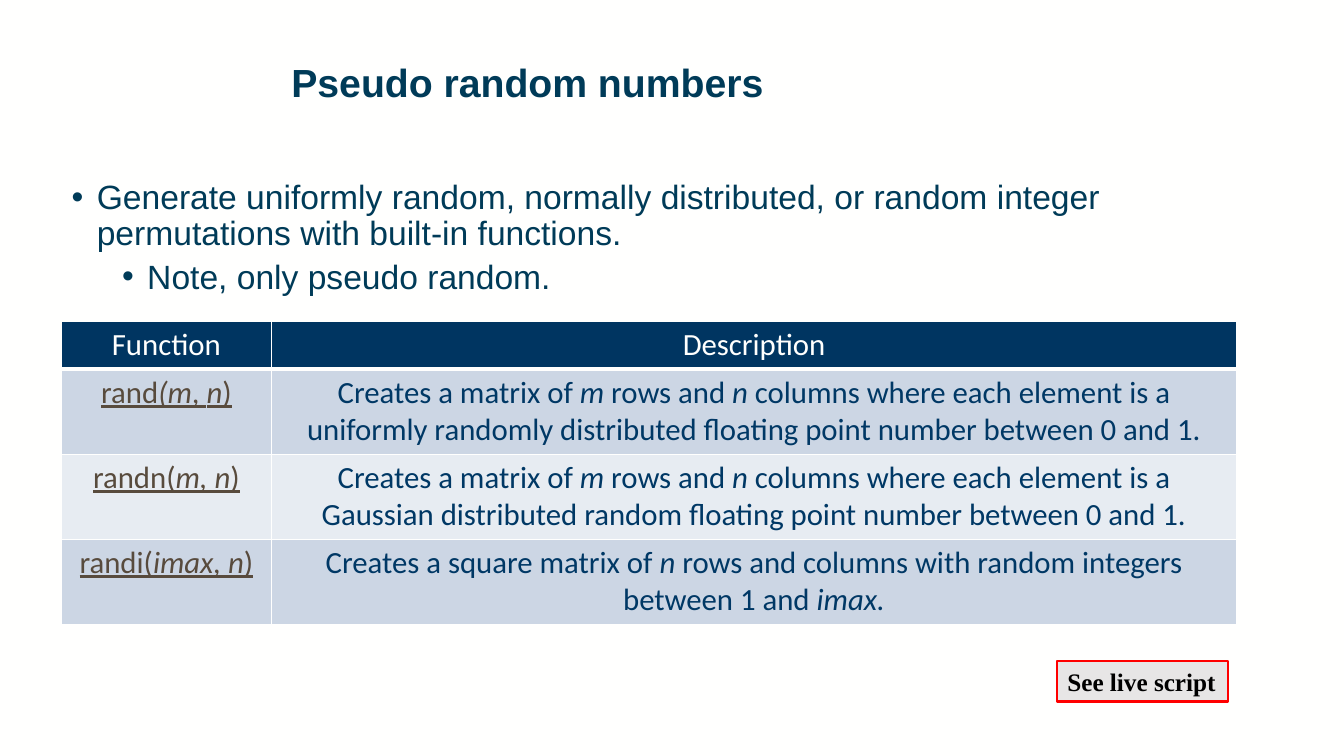
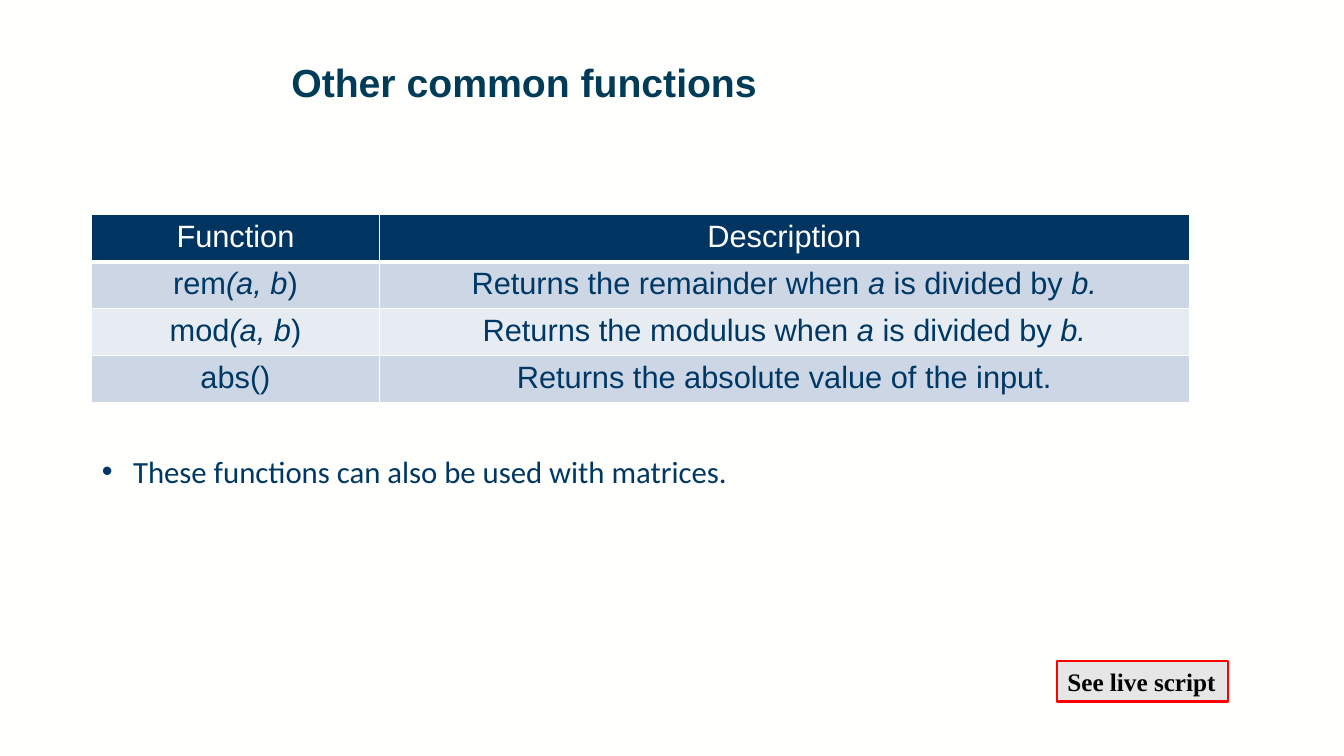
from dataclasses import dataclass

from lxml.etree import SubElement
from pptx import Presentation
from pptx.dml.color import RGBColor
from pptx.enum.shapes import MSO_SHAPE
from pptx.enum.text import MSO_ANCHOR, MSO_AUTO_SIZE, PP_ALIGN
from pptx.oxml import parse_xml
from pptx.oxml.ns import nsdecls, qn
from pptx.util import Inches, Pt


@dataclass(frozen=True)
class Theme:
    paper: str = "FFFFFE"
    title: str = "003B58"
    text: str = "003865"
    link: str = "584B3D"
    header: str = "003561"
    bands: tuple = ("CCD6E4", "E7ECF2")
    button: str = "E7E6E6"
    button_line: str = "FF0000"
    button_text: str = "000000"
    sans: str = "Arial"
    table_font: str = "Calibri"
    serif: str = "Times New Roman"
    title_size: int = 28
    list_size: int = 24
    table_size: int = 22
    button_size: int = 18


T = Theme()

prs = Presentation()
prs.slide_width, prs.slide_height = Inches(13.333), Inches(7.5)
COL, ROW = prs.slide_width / 100, prs.slide_height / 100


def place(shape, left, top, width, height):
    """Put a shape on the grid of 100 columns by 100 rows."""
    shape.left, shape.top = round(left * COL), round(top * ROW)
    shape.width, shape.height = round(width * COL), round(height * ROW)


def write(p, text, font, size, color, bold=False, underline=False):
    """Add text run by run; the parts between asterisks are italic."""
    for i, part in enumerate(text.split("*")):
        if part:
            r = p.add_run()
            r.text = part
            r.font.name, r.font.size = font, Pt(size)
            r.font.color.rgb = RGBColor.from_string(color)
            r.font.bold, r.font.italic = bold, i % 2 == 1
            r.font.underline = underline


matrix = "Creates a matrix of *m* rows and *n* columns where each element is a "
between = " floating point number between 0 and 1."
slides = [
    dict(
        title="Pseudo random numbers",
        list_at=(4.58, 23.2, 79.88, 18.67),
        # text, level, left indent, hanging indent, space before
        items=[
            ("Generate uniformly random, normally distributed, or random integer "
             "permutations with built-in functions.", 0, 0.25, 0.25, 0),
            ("Note, only pseudo random.", 1, 0.75, 0.25, 5),
        ],
        list_style=(T.sans, T.list_size, T.title),
        line_spacing=0.9,
        table_at=(4.58, 42.53),
        cols=(15.6, 71.85),
        row_height=11.07,
        table_font=T.table_font,
        links=True,
        rows=[
            ("rand*(m*, *n*)", matrix + "uniformly randomly distributed" + between),
            ("randn(*m, n*)", matrix + "Gaussian distributed random" + between),
            ("randi(*imax, n*)", "Creates a square matrix of *n* rows and columns "
             "with random integers between 1 and *imax.*"),
        ],
    ),
    dict(
        title="Other common functions",
        list_at=(6.83, 59.2, 64.65, 6.27),
        items=[("These functions can also be used with matrices.", 0, 0.31, 0.31, 0)],
        list_style=(T.table_font, T.table_size, T.text),
        line_spacing=1.0,
        table_at=(6.83, 28.4),
        cols=(21.38, 60.3),
        row_height=6.22,
        table_font=T.sans,
        links=False,
        rows=[
            ("rem*(a, b*)", "Returns the remainder when *a* is divided by *b.*"),
            ("mod*(a, b*)", "Returns the modulus when *a* is divided by *b.*"),
            ("abs()", "Returns the absolute value of the input."),
        ],
    ),
]
HEADER_HEIGHT = 6.22

# Shared by all slides: paper colour and title place
fill = prs.slide_master.background.fill
fill.solid()
fill.fore_color.rgb = RGBColor.from_string(T.paper)
layout = prs.slide_layouts[1]
place(layout.placeholders[0], 20.93, 7.73, 75.53, 12.93)

for page in slides:
    s = prs.slides.add_slide(layout)

    # Title
    tf = s.shapes.title.text_frame
    tf.vertical_anchor = MSO_ANCHOR.TOP
    tf.auto_size = MSO_AUTO_SIZE.NONE
    p = tf.paragraphs[0]
    p.alignment, p.line_spacing = PP_ALIGN.LEFT, 0.9
    write(p, page["title"], T.sans, T.title_size, T.title, bold=True)

    # Bulleted list
    body = s.placeholders[1]
    place(body, *page["list_at"])
    tf = body.text_frame
    tf.auto_size = MSO_AUTO_SIZE.NONE
    for i, (text, level, left, hanging, before) in enumerate(page["items"]):
        p = tf.add_paragraph() if i else tf.paragraphs[0]
        pPr = p._p.get_or_add_pPr()
        pPr.set("marL", str(Inches(left)))
        pPr.set("indent", str(-Inches(hanging)))
        SubElement(pPr, qn("a:buFont"), typeface=T.sans)
        SubElement(pPr, qn("a:buChar"), char="•")
        p.level, p.line_spacing = level, page["line_spacing"]
        p.space_before = Pt(before)
        write(p, text, *page["list_style"])

    # Table of functions
    rows = [("Function", "Description")] + page["rows"]
    heights = [HEADER_HEIGHT] + [page["row_height"]] * len(page["rows"])
    frame = s.shapes.add_table(len(rows), 2, 0, 0, 0, 0)
    place(frame, *page["table_at"], sum(page["cols"]), sum(heights))
    table = frame.table
    for column, width in zip(table.columns, page["cols"]):
        column.width = round(width * COL)
    for i, row in enumerate(rows):
        table.rows[i].height = round(heights[i] * ROW)
        for j, text in enumerate(row):
            cell = table.cell(i, j)
            cell.fill.solid()
            cell.fill.fore_color.rgb = RGBColor.from_string(
                T.bands[(i - 1) % 2] if i else T.header)
            tcPr = cell._tc.get_or_add_tcPr()
            for k, side in enumerate("LRTB"):
                width = 3 if i == 0 and side == "B" else 1
                tcPr.insert(k, parse_xml(
                    f'<a:ln{side} {nsdecls("a")} w="{Pt(width)}"><a:solidFill>'
                    f'<a:srgbClr val="{T.paper}"/></a:solidFill></a:ln{side}>'))
            link = page["links"] and i > 0 and j == 0
            color = T.paper if i == 0 else T.link if link else T.text
            p = cell.text_frame.paragraphs[0]
            p.alignment = PP_ALIGN.CENTER
            write(p, text, page["table_font"], T.table_size, color, underline=link)

    # Live script button
    button = s.shapes.add_shape(MSO_SHAPE.RECTANGLE, 0, 0, 0, 0)
    place(button, 78.68, 87.47, 12.68, 5.33)
    button.shadow.inherit = False
    button.fill.solid()
    button.fill.fore_color.rgb = RGBColor.from_string(T.button)
    button.line.color.rgb = RGBColor.from_string(T.button_line)
    button.line.width = Pt(1.5)
    tf = button.text_frame
    tf.word_wrap = False
    p = tf.paragraphs[0]
    p.alignment = PP_ALIGN.LEFT
    write(p, "See live script", T.serif, T.button_size, T.button_text, bold=True)

prs.save("out.pptx")
